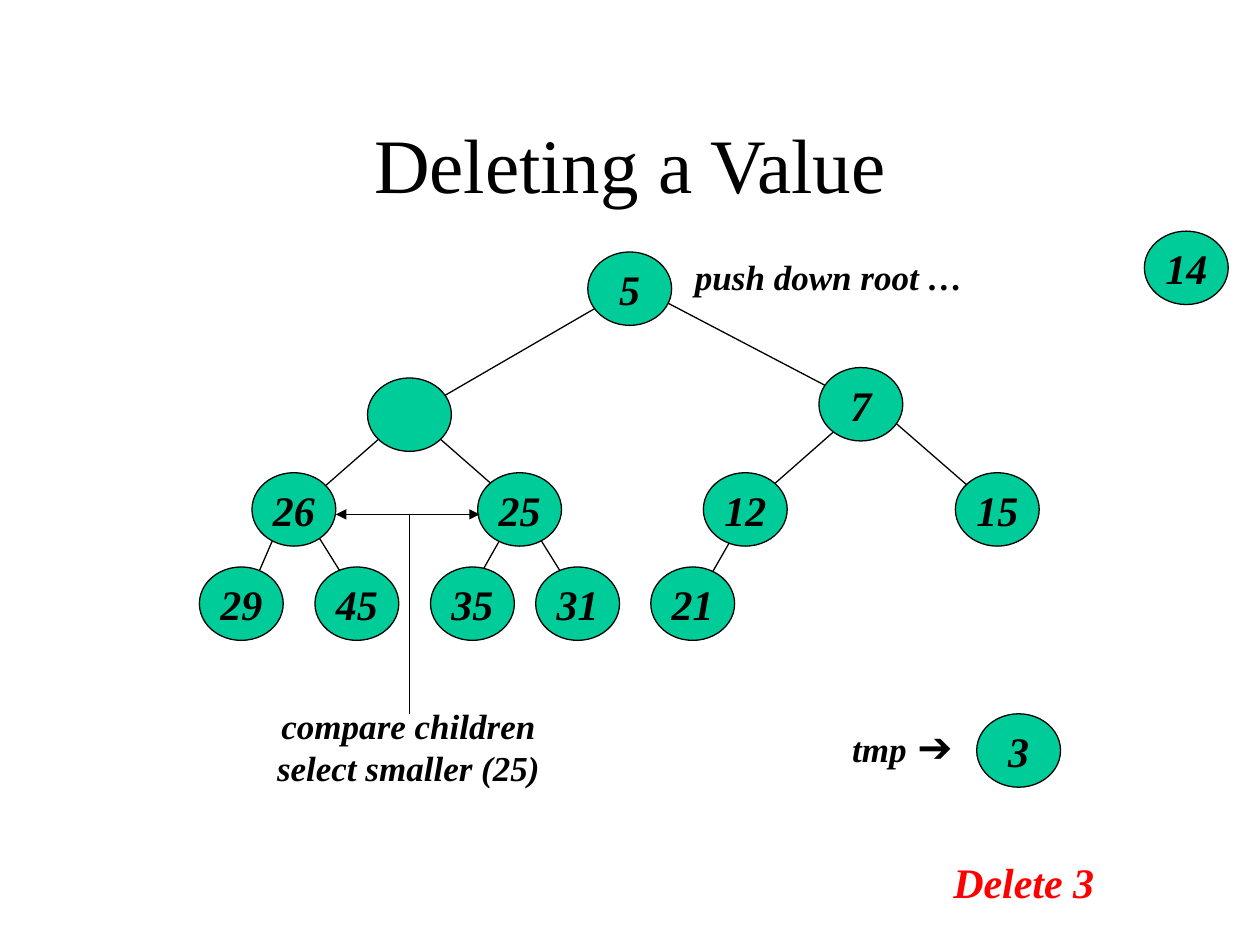
from dataclasses import dataclass

from lxml.etree import SubElement
from pptx import Presentation
from pptx.dml.color import RGBColor
from pptx.enum.shapes import MSO_CONNECTOR as Connector, MSO_SHAPE as Shape
from pptx.enum.text import MSO_ANCHOR as Anchor, PP_ALIGN as Align
from pptx.oxml.ns import qn
from pptx.util import Cm, Pt


@dataclass(frozen=True)
class Theme:
    ink: RGBColor = RGBColor(0x00, 0x00, 0x00)
    node: RGBColor = RGBColor(0x00, 0xCC, 0x99)
    accent: RGBColor = RGBColor(0xFF, 0x00, 0x00)
    font: str = "Times New Roman"
    symbol_font: str = "Arial"
    title: int = 44
    value: int = 24
    note: int = 20
    stroke: float = 0.75


THEME = Theme()
NODE_WIDTH, NODE_HEIGHT = 1.69, 1.48

TREE_NODES = [
    (5.08, {11.85: "5"}),
    (7.41, {16.51: "7"}),
    (7.62, {7.41: ""}),
    (9.53, {5.08: "26", 9.63: "25", 14.18: "12", 19.26: "15"}),
    (11.43, {4.02: "29", 6.35: "45", 8.68: "35", 10.8: "31", 13.12: "21"}),
]
LOOSE_NODES = [(14.39, {19.69: "3"}), (4.66, {23.07: "14"})]

TREE_EDGES = [
    (12.49, 5.93, 8.47, 8.26),
    (13.12, 5.93, 17.15, 8.04),
    (7.83, 8.68, 6.14, 10.16),
    (8.68, 8.68, 10.37, 10.16),
    (17.07, 8.47, 15.39, 9.95),
    (17.99, 8.47, 19.69, 9.95),
    (5.72, 10.37, 5.08, 11.85),
    (6.14, 10.37, 7.2, 12.07),
    (10.37, 10.37, 9.53, 11.85),
    (10.58, 10.37, 11.64, 12.07),
    (15.03, 10.37, 14.18, 11.85),
]


def write_text(paragraph, text, *, size=THEME.value, color=THEME.ink,
               font=THEME.font, bold=True, italic=True):
    run = paragraph.add_run()
    run.text = text
    run.font.name = font
    run.font.size = Pt(size)
    run.font.color.rgb = color
    run.font.bold = bold
    run.font.italic = italic


def add_label(slide, left, top, width, height, *, align=Align.LEFT, anchor=Anchor.TOP):
    frame = slide.shapes.add_textbox(Cm(left), Cm(top), Cm(width), Cm(height)).text_frame
    frame.word_wrap = True
    frame.vertical_anchor = anchor
    frame.paragraphs[0].alignment = align
    return frame.paragraphs[0]


def add_node(slide, left, top, value):
    node = slide.shapes.add_shape(Shape.OVAL, Cm(left), Cm(top),
                                  Cm(NODE_WIDTH), Cm(NODE_HEIGHT))
    node.shadow.inherit = False
    node.fill.solid()
    node.fill.fore_color.rgb = THEME.node
    node.line.color.rgb = THEME.ink
    node.line.width = Pt(THEME.stroke)
    if value:
        frame = node.text_frame
        frame.word_wrap = False
        frame.vertical_anchor = Anchor.MIDDLE
        frame.paragraphs[0].alignment = Align.CENTER
        write_text(frame.paragraphs[0], value)


def add_nodes(slide, levels):
    for top, values in levels:
        for left, value in values.items():
            add_node(slide, left, top, value)


def add_line(slide, x1, y1, x2, y2, *, arrow=False):
    line = slide.shapes.add_connector(Connector.STRAIGHT, Cm(x1), Cm(y1), Cm(x2), Cm(y2))
    line.line.color.rgb = THEME.ink
    line.line.width = Pt(THEME.stroke)
    if arrow:
        SubElement(line.line._get_or_add_ln(), qn("a:tailEnd"), type="triangle")
    SubElement(line._element.spPr, qn("a:effectLst"))


def add_comparison(slide):
    add_line(slide, 8.26, 10.37, 6.77, 10.37, arrow=True)
    add_line(slide, 8.18, 10.37, 9.67, 10.37, arrow=True)
    add_line(slide, 8.26, 10.37, 8.26, 14.39)
    comparison = add_label(slide, 5.16, 14.07, 6.15, 1.96, align=Align.CENTER)
    write_text(comparison, "compare children select smaller (25)", size=THEME.note)


def main():
    deck = Presentation()
    deck.slide_width, deck.slide_height = Cm(25.4), Cm(19.05)
    slide = deck.slides.add_slide(deck.slide_layouts[6])

    title = add_label(slide, 1.91, 1.69, 21.59, 3.18, align=Align.CENTER, anchor=Anchor.MIDDLE)
    write_text(title, "Deleting a Value", size=THEME.title, bold=False, italic=False)

    for edge in TREE_EDGES:
        add_line(slide, *edge)
    add_nodes(slide, TREE_NODES + LOOSE_NODES)

    operation = add_label(slide, 17.36, 17.15, 6.56, 1.27, align=Align.CENTER)
    write_text(operation, "Delete 3", color=THEME.accent)

    saved_value = add_label(slide, 16.93, 14.39, 2.96, 1.27)
    write_text(saved_value, "tmp", size=THEME.note)
    write_text(saved_value, " ")
    write_text(saved_value, "➔", font=THEME.symbol_font, italic=False)

    root_step = add_label(slide, 13.76, 5.03, 6.15, 1.11)
    write_text(root_step, "push down root …", size=THEME.note)

    add_comparison(slide)
    deck.save("out.pptx")


if __name__ == "__main__":
    main()
